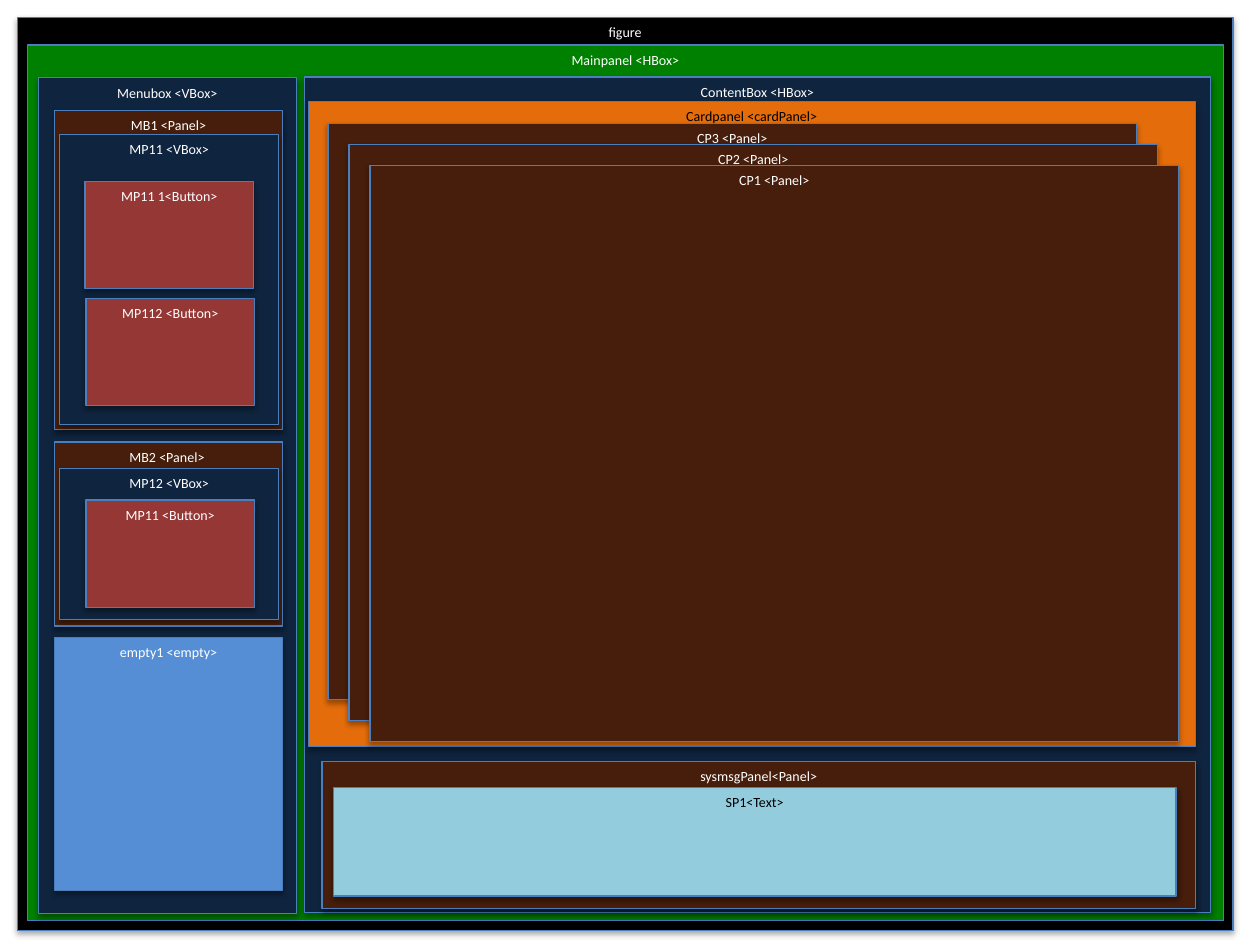
import dataclasses

import pptx
import pptx.dml.color
import pptx.enum.shapes
import pptx.enum.text
import pptx.oxml
import pptx.oxml.ns
import pptx.util
from pptx.util import Pt


@dataclasses.dataclass(frozen=True)
class Theme:
    font: str = "Calibri"
    size: float = 8
    line_width: float = 0.75
    line: str = "4B7EBC"
    light: str = "FFFFFF"
    dark: str = "000000"
    figure: str = "000000"
    main: str = "008000"
    layout: str = "0F243E"
    panel: str = "471E0B"
    cards: str = "E46C0A"
    button: str = "953735"
    empty: str = "558ED5"
    message: str = "93CDDD"


@dataclasses.dataclass(frozen=True)
class Box:
    left: float
    top: float
    width: float
    height: float

    def inner(self, left, top, width, height):
        """Box whose left and top are measured from this one."""
        return Box(self.left + left, self.top + top, width, height)


THEME = Theme()
SHADOW = (
    '<a:outerShdw xmlns:a="http://schemas.openxmlformats.org/drawingml/2006/main"'
    ' blurRad="{blur}" dist="{distance}" dir="5400000" rotWithShape="0">'
    '<a:srgbClr val="000000"><a:alpha val="35000"/></a:srgbClr></a:outerShdw>'
).format(blur=Pt(3.1), distance=Pt(1.8))


def color(value):
    return pptx.dml.color.RGBColor.from_string(value)


def add_shadow(shape):
    shape.shadow.inherit = False
    effects = shape.element.spPr.find(pptx.oxml.ns.qn("a:effectLst"))
    effects.append(pptx.oxml.parse_xml(SHADOW))


def add_block(page, box, label, fill, ink=THEME.light):
    """Draw one outlined block with its label at the top; return its box."""
    shape = page.shapes.add_shape(
        pptx.enum.shapes.MSO_SHAPE.RECTANGLE,
        Pt(box.left), Pt(box.top), Pt(box.width), Pt(box.height))
    shape.fill.solid()
    shape.fill.fore_color.rgb = color(fill)
    shape.line.color.rgb = color(THEME.line)
    shape.line.width = Pt(THEME.line_width)
    add_shadow(shape)

    frame = shape.text_frame
    frame.word_wrap = True
    frame.vertical_anchor = pptx.enum.text.MSO_ANCHOR.TOP
    para = frame.paragraphs[0]
    para.alignment = pptx.enum.text.PP_ALIGN.CENTER
    span = para.add_run()
    span.text = label
    span.font.name = THEME.font
    span.font.size = Pt(THEME.size)
    span.font.color.rgb = color(ink)
    return box


def add_menu_group(page, box, label, inner_label, inner_top, inner_height, buttons):
    """Panel holding a vertical box of (left, top, label) buttons."""
    add_block(page, box, label, THEME.panel)
    stack = add_block(page, box.inner(2.9, inner_top, 125.3, inner_height),
                      inner_label, THEME.layout)
    for left, top, text in buttons:
        add_block(page, stack.inner(left, top, 96.5, 61.2), text, THEME.button)


def add_menu(page, box):
    add_block(page, box, "Menubox <VBox>", THEME.layout)
    left, width = 9.4, 130.3
    add_menu_group(page, box.inner(left, 18.8, width, 182.2),
                   "MB1 <Panel>", "MP11 <VBox>", 13.7, 165.6,
                   [(14.5, 26.6, "MP11 1<Button>"), (15, 93.4, "MP112 <Button>")])
    add_menu_group(page, box.inner(left, 208.1, width, 105.1),
                   "MB2 <Panel> ", "MP12 <VBox>", 15, 86.4,
                   [(15, 18.2, "MP11 <Button>")])
    add_block(page, box.inner(left, 319.7, width, 144.7),
              "empty1 <empty>", THEME.empty)


def add_content(page, box):
    add_block(page, box, "ContentBox <HBox>", THEME.layout)

    # Overlapping cards, each one step right and down
    cards = add_block(page, box.inner(2.2, 14.1, 506.9, 368.6),
                      "Cardpanel <cardPanel>", THEME.cards, THEME.dark)
    step = 12
    for index, name in enumerate(("CP3", "CP2", "CP1")):
        add_block(page, cards.inner(11.2 + index * step, 12.6 + index * step, 462.2, 329),
                  f"{name} <Panel>", THEME.panel)

    # System message area
    system = add_block(page, box.inner(10.1, 391, 499, 84.2),
                       "sysmsgPanel<Panel>", THEME.panel)
    add_block(page, system.inner(6.3, 15.2, 481.7, 61.9),
              "SP1<Text>", THEME.message, THEME.dark)


def add_figure(page, box):
    add_block(page, box, "figure", THEME.figure)
    main = add_block(page, box.inner(6, 15.9, 683.3, 500.4),
                     "Mainpanel <HBox>", THEME.main)
    add_content(page, main.inner(158.2, 18.2, 517.7, 477.4))
    add_menu(page, main.inner(6, 18.7, 147.6, 477.4))


def main():
    deck = pptx.Presentation()
    deck.slide_width, deck.slide_height = Pt(720), Pt(540)
    page = deck.slides.add_slide(deck.slide_layouts[6])
    add_figure(page, Box(9.8, 9.9, 694.8, 522))
    deck.save("out.pptx")


if __name__ == "__main__":
    main()
